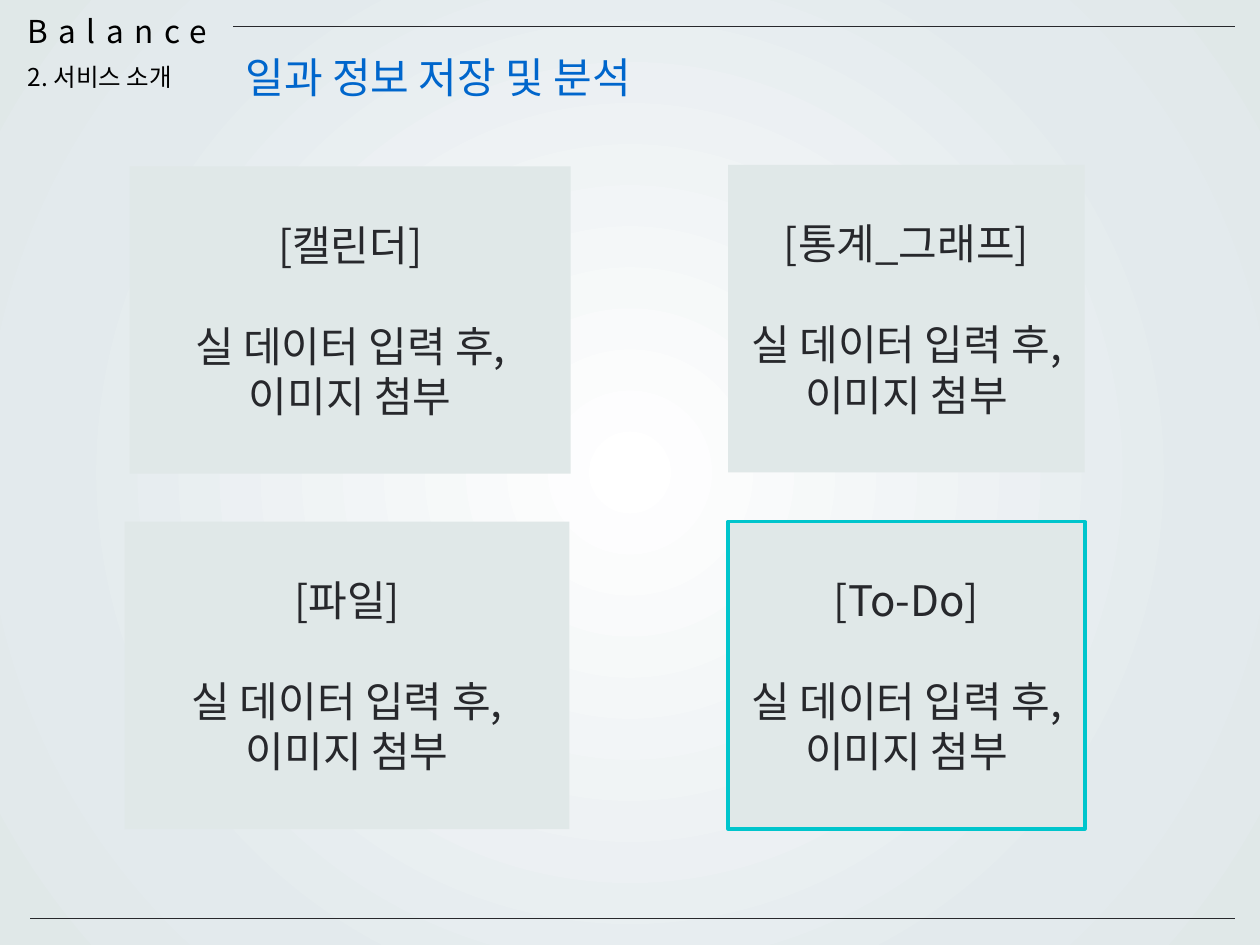
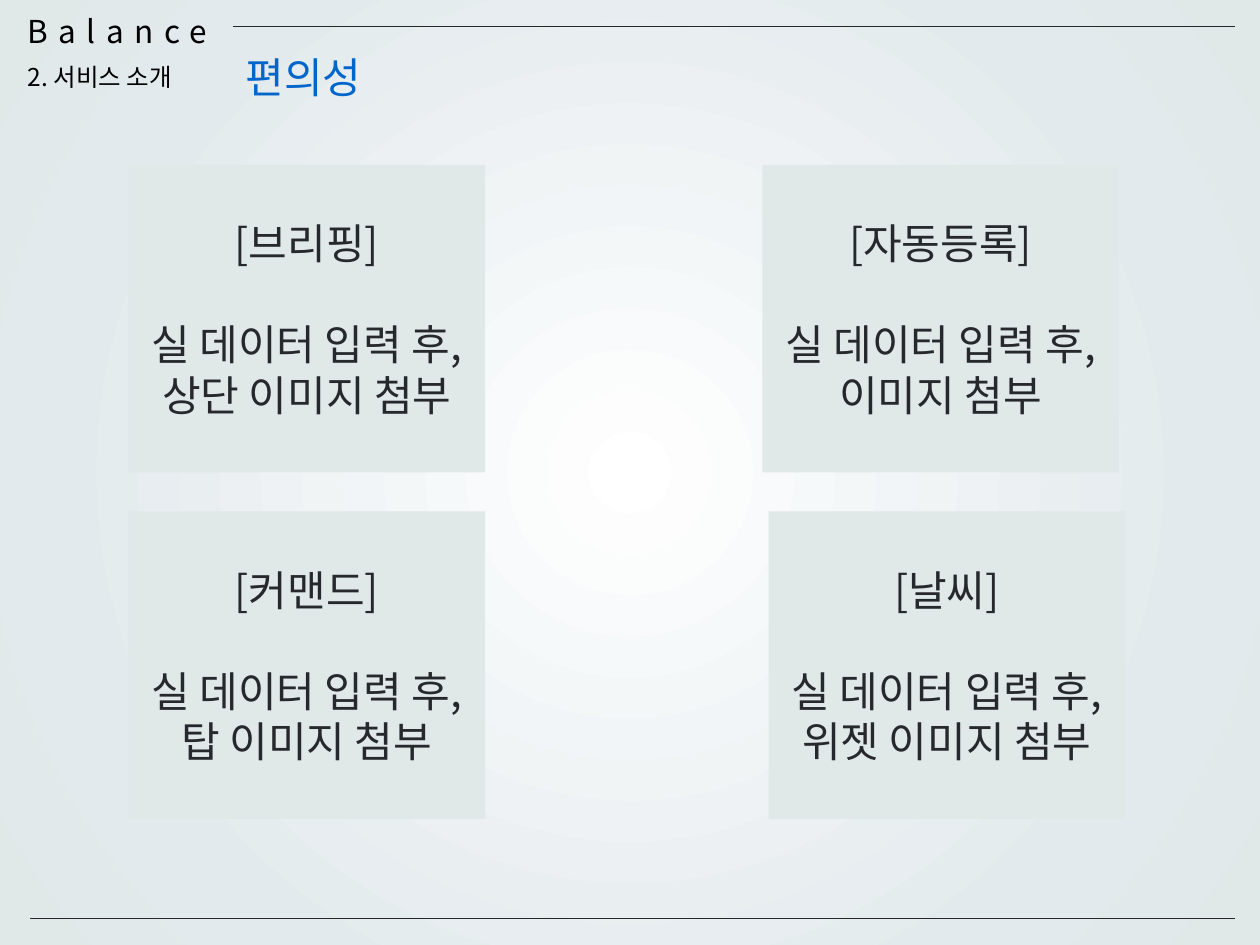
from lxml import etree
from pptx import Presentation
from pptx.dml.color import RGBColor
from pptx.enum.shapes import MSO_CONNECTOR as Connector, MSO_SHAPE as Shape
from pptx.enum.text import MSO_ANCHOR as Anchor, PP_ALIGN as Align
from pptx.oxml import parse_xml
from pptx.oxml.ns import nsdecls, qn
from pptx.util import Inches, Pt

# Shared look
INK, BLACK, BLUE, TEAL, PANEL = "27282C", "000000", "0066CC", "00C5CC", "E0E8E8"
BODY_FONT, TITLE_FONT = "Noto Sans CJK JP", "Noto Sans CJK KR"
CARD_HEIGHT = 2.44
CARD_LINE = Pt(28.8)
DATA_NOTE = "실 데이터 입력 후,"
BRAND_STYLE = {"name": BODY_FONT, "size": Pt(18), "color": BLACK}
SECTION_STYLE = {"name": BODY_FONT, "size": Pt(14), "color": BLACK}
TITLE_STYLE = {"name": TITLE_FONT, "size": Pt(24), "color": BLUE}
CARD_STYLE = {"name": BODY_FONT, "size": Pt(24), "color": INK}
CARD_FORMAT = {"alignment": Align.CENTER, "line_spacing": CARD_LINE}

# Title, title width, then cards: heading, closing line, left, top, width, outline
SLIDES = [
    ("일과 정보 저장 및 분석", 3.62, [
        ("[캘린더]", "이미지 첨부", 1.03, 1.32, 3.5, None),
        ("[파일]", "이미지 첨부", 0.99, 4.14, 3.53, None),
        ("[통계_그래프]", "이미지 첨부", 5.78, 1.31, 2.83, None),
        ("[To-Do]", "이미지 첨부", 5.78, 4.14, 2.83, TEAL),
    ]),
    ("편의성", 1.18, [
        ("[브리핑]", "상단 이미지 첨부", 1.02, 1.31, 2.83, None),
        ("[자동등록]", "이미지 첨부", 6.05, 1.31, 2.83, None),
        ("[커맨드]", "탑 이미지 첨부", 1.02, 4.06, 2.83, None),
        ("[날씨]", "위젯 이미지 첨부", 6.1, 4.06, 2.83, None),
    ]),
]


def rgb(value):
    return RGBColor.from_string(value)


def apply(target, values):
    for key, value in values.items():
        setattr(target, key, value)


def write_run(paragraph, text, style):
    run = paragraph.add_run()
    run.text = text
    apply(run.font, {key: style[key] for key in ("name", "size")})
    run.font.color.rgb = rgb(style["color"])
    east_asian = etree.SubElement(run.font._element, qn("a:ea"))
    east_asian.set("typeface", style["name"])
    return run


def set_background(master):
    """Radial gradient from a white centre."""
    fill = master.background.fill
    fill.solid()
    gradient = parse_xml(
        f'<a:gradFill {nsdecls("a")} rotWithShape="1"><a:gsLst>'
        '<a:gs pos="0"><a:srgbClr val="FFFFFF"/></a:gs>'
        '<a:gs pos="73000"><a:srgbClr val="E3EAED"><a:alpha val="47000"/></a:srgbClr></a:gs>'
        f'<a:gs pos="100000"><a:srgbClr val="{PANEL}"/></a:gs></a:gsLst>'
        '<a:path path="circle"><a:fillToRect l="50000" t="50000" r="50000" b="50000"/></a:path>'
        '</a:gradFill>')
    solid = next(master._element.iter(qn("p:bgPr"))).find(qn("a:solidFill"))
    solid.getparent().replace(solid, gradient)


def add_rule(slide, left, right, y):
    rule = slide.shapes.add_connector(
        Connector.STRAIGHT, Inches(left), Inches(y), Inches(right), Inches(y))
    rule.line.color.rgb = rgb(INK)
    rule.line.width = Pt(1)
    etree.SubElement(rule._element.spPr, qn("a:effectLst"))


def add_label(slide, text, place, style):
    label = slide.shapes.add_textbox(*map(Inches, place))
    label.text_frame.word_wrap = True
    return write_run(label.text_frame.paragraphs[0], text, style)


def add_frame(slide, title, title_width):
    """Rules, brand, section and title."""
    add_rule(slide, 1.85, 9.8, 0.21)
    add_rule(slide, 0.24, 9.8, 7.29)
    brand = add_label(slide, "Balance", (0.12, 0.05, 1.77, 0.4), BRAND_STYLE)
    brand.font._element.set("spc", "600")
    add_label(slide, "2. 서비스 소개", (0.12, 0.44, 1.81, 0.34), SECTION_STYLE)
    add_label(slide, title, (1.85, 0.36, title_width, 0.5), TITLE_STYLE)


def add_card(slide, heading, closing, left, top, width, outline):
    card = slide.shapes.add_shape(
        Shape.RECTANGLE, *map(Inches, (left, top, width, CARD_HEIGHT)))
    card.shadow.inherit = False
    card.fill.solid()
    card.fill.fore_color.rgb = rgb(PANEL)
    if outline:
        card.line.color.rgb = rgb(outline)
        card.line.width = Pt(2)
    else:
        card.line.fill.background()
    frame = card.text_frame
    apply(frame, {"word_wrap": True, "vertical_anchor": Anchor.MIDDLE})
    for index, text in enumerate((heading, DATA_NOTE, closing)):
        paragraph = frame.add_paragraph() if index else frame.paragraphs[0]
        apply(paragraph, CARD_FORMAT)
        if text == DATA_NOTE:
            paragraph.space_before = CARD_LINE
        write_run(paragraph, text, CARD_STYLE)


def main():
    deck = Presentation()
    apply(deck, {"slide_width": Inches(10), "slide_height": Inches(7.5)})
    set_background(deck.slide_master)
    for title, title_width, cards in SLIDES:
        slide = deck.slides.add_slide(deck.slide_layouts[6])
        add_frame(slide, title, title_width)
        for card in cards:
            add_card(slide, *card)
    deck.save("out.pptx")


if __name__ == "__main__":
    main()
